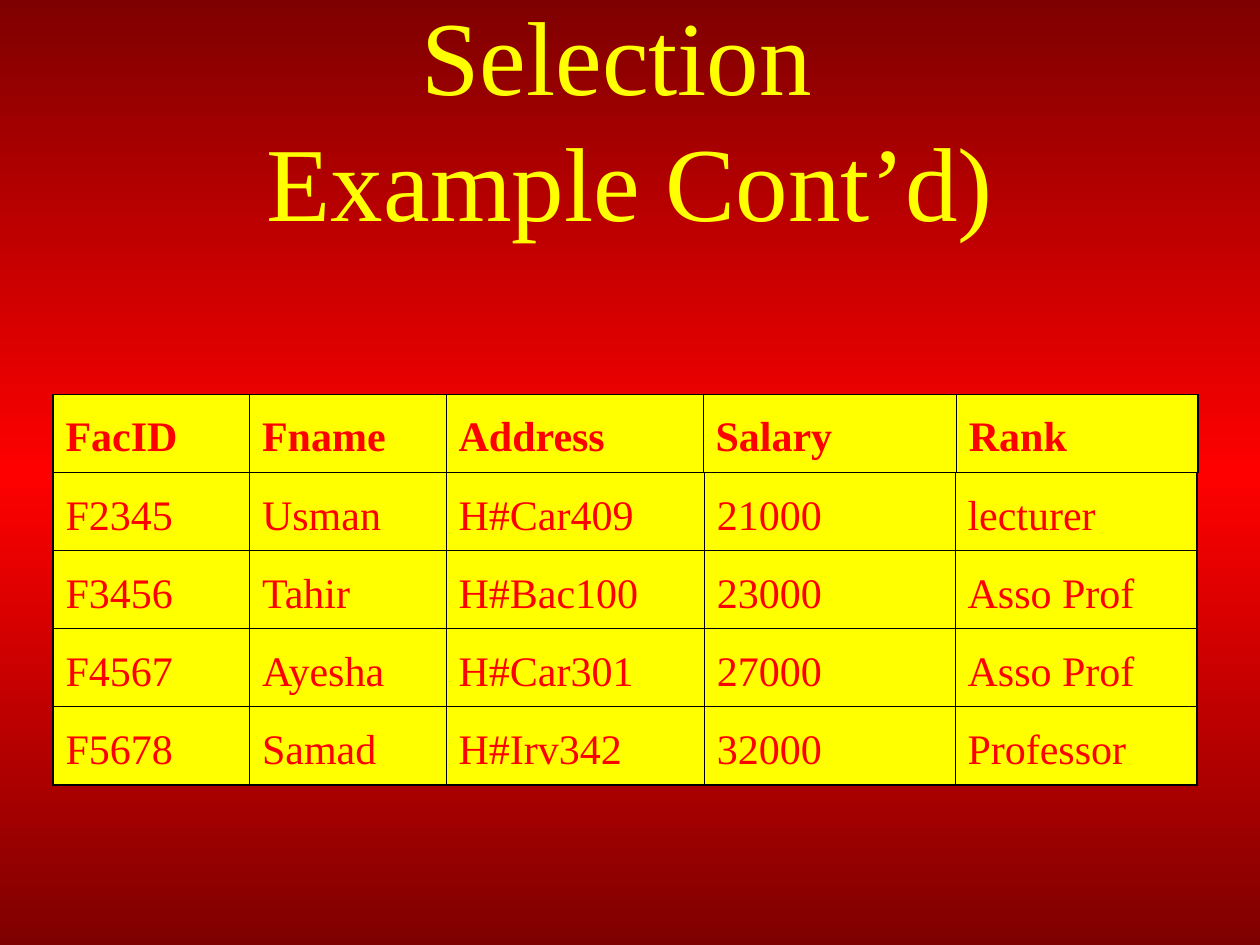
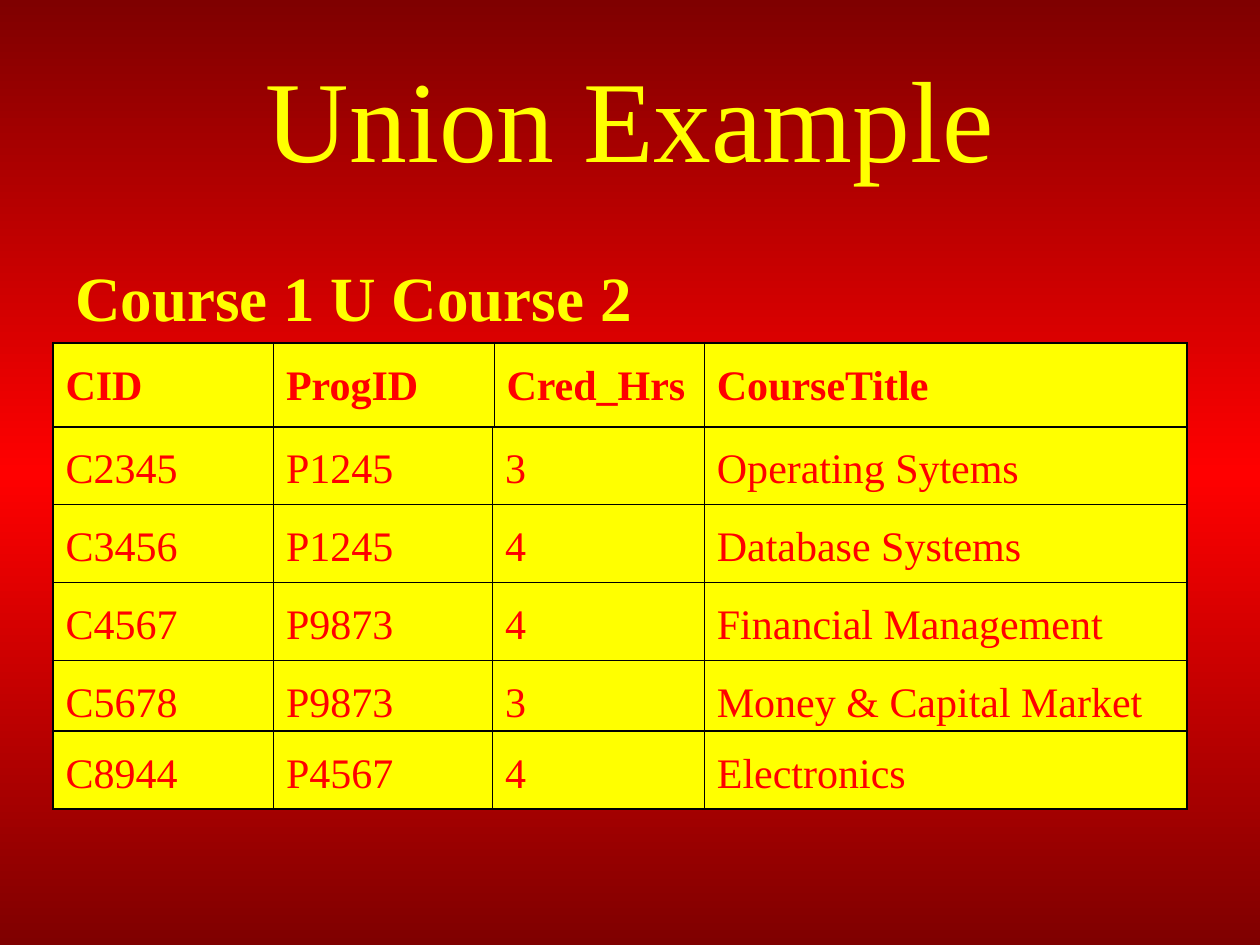
"""Build two slides on relational selection and union."""
from copy import deepcopy

from lxml import etree
from pptx import Presentation
from pptx.dml.color import RGBColor
from pptx.enum import text as t
from pptx.oxml import ns
from pptx.util import Inches, Pt

FONT = "Times New Roman"
DARK, RED, YELLOW, BLACK = "7F0000", "FF0000", "FFFF00", "000000"
LEFT, ROW = 0.42, 0.62
THICK, THIN = 1.08, 0.45


def rgb(code):
    """Turn a hex string into a colour."""
    return RGBColor.from_string(code)


def paint(master):
    """Give the master a dark-red-dark vertical gradient."""
    fill = master.background.fill
    fill.gradient()
    fill.gradient_angle = 90
    stops = master.element.find(".//" + ns.qn("a:gsLst"))
    stops.append(deepcopy(stops[-1]))
    for stop, code, place in zip(fill.gradient_stops, (DARK, RED, DARK), (0, 0.5, 1)):
        stop.color.rgb = rgb(code)
        stop.position = place


def write(para, words, size, code, bold=False):
    """Add one styled run to a paragraph."""
    run = para.add_run()
    run.text = words
    font = run.font
    font.name, font.size, font.bold = FONT, Pt(size), bold
    font.color.rgb = rgb(code)


def head(slide, lines, size):
    """Fill the title placeholder, one run to a line."""
    title = slide.shapes.title
    title.left, title.top = Inches(0.5), Inches(0.3)
    title.width, title.height = Inches(9), Inches(1.25)
    frame = title.text_frame
    frame.auto_size = t.MSO_AUTO_SIZE.NONE
    frame.vertical_anchor = t.MSO_ANCHOR.MIDDLE
    para = frame.paragraphs[0]
    para.alignment = t.PP_ALIGN.CENTER
    for i, line in enumerate(lines):
        if i:
            para.add_line_break()
        write(para, line, size, YELLOW)


def label(slide, words):
    """Place the bold line above a table."""
    box = slide.shapes.add_textbox(Inches(0.5), Inches(2), Inches(5.75), Inches(0.7))
    frame = box.text_frame
    frame.word_wrap = True
    frame.auto_size = t.MSO_AUTO_SIZE.SHAPE_TO_FIT_TEXT
    write(frame.paragraphs[0], words, 36, YELLOW, True)


def edge(cell, side, width):
    """Draw one side of a cell in black."""
    line = etree.SubElement(cell._tc.get_or_add_tcPr(), ns.qn("a:ln" + side), w=str(Pt(width)))
    fill = etree.SubElement(line, ns.qn("a:solidFill"))
    etree.SubElement(fill, ns.qn("a:srgbClr"), val=BLACK)


def grid(slide, top, cols, rows, high=ROW, bold=False):
    """Add a yellow table with a thick frame and thin inner lines."""
    shape = slide.shapes.add_table(len(rows), len(cols), Inches(LEFT), Inches(top),
                                   Inches(sum(cols)), Inches(high * len(rows)))
    table = shape.table
    table.first_row = table.horz_banding = False
    for col, wide in zip(table.columns, cols):
        col.width = Inches(wide)
    for r, row in enumerate(rows):
        table.rows[r].height = Inches(high)
        for c, words in enumerate(row):
            cell = table.cell(r, c)
            outer = {"L": c == 0, "R": c == len(cols) - 1,
                     "T": r == 0, "B": r == len(rows) - 1}
            for side, thick in outer.items():
                edge(cell, side, THICK if thick else THIN)
            cell.fill.solid()
            cell.fill.fore_color.rgb = rgb(YELLOW)
            para = cell.text_frame.paragraphs[0]
            para.line_spacing = 1.3
            write(para, words, 24, RED, bold)


def select(slide):
    """Show the faculty table."""
    head(slide, ["Selection ", "Example Cont’d)"], 60)
    grid(slide, 3.75, [1.56, 1.56, 2.05, 1.99, 1.92], [
        ["F2345", "Usman", "H#Car409", "21000", "lecturer"],
        ["F3456", "Tahir", "H#Bac100", "23000", "Asso Prof"],
        ["F4567", "Ayesha", "H#Car301", "27000", "Asso Prof"],
        ["F5678", "Samad", "H#Irv342", "32000", "Professor"]])
    grid(slide, 3.13, [1.56, 1.56, 2.04, 2.01, 1.92],
         [["FacID", "Fname", "Address", "Salary", "Rank"]], bold=True)


def union(slide):
    """Show the union of two course tables."""
    head(slide, ["Union Example"], 66)
    cols = [1.75, 1.74, 1.68, 3.83]
    grid(slide, 3.38, cols, [
        ["C2345", "P1245", "3", "Operating Sytems"],
        ["C3456", "P1245", "4", "Database Systems"],
        ["C4567", "P9873", "4", "Financial Management"],
        ["C5678", "P9873", "3", "Money & Capital Market"]])
    grid(slide, 2.72, [1.75, 1.75, 1.67, 3.83],
         [["CID", "ProgID", "Cred_Hrs", "CourseTitle"]], 0.67, True)
    grid(slide, 5.8, cols, [["C8944", "P4567", "4", "Electronics"]])
    label(slide, "Course 1 U Course 2")


def main():
    """Build and save the slides."""
    prs = Presentation()
    prs.slide_width, prs.slide_height = Inches(10), Inches(7.5)
    paint(prs.slide_master)
    for build in (select, union):
        build(prs.slides.add_slide(prs.slide_layouts[5]))
    prs.save("out.pptx")


if __name__ == "__main__":
    main()
